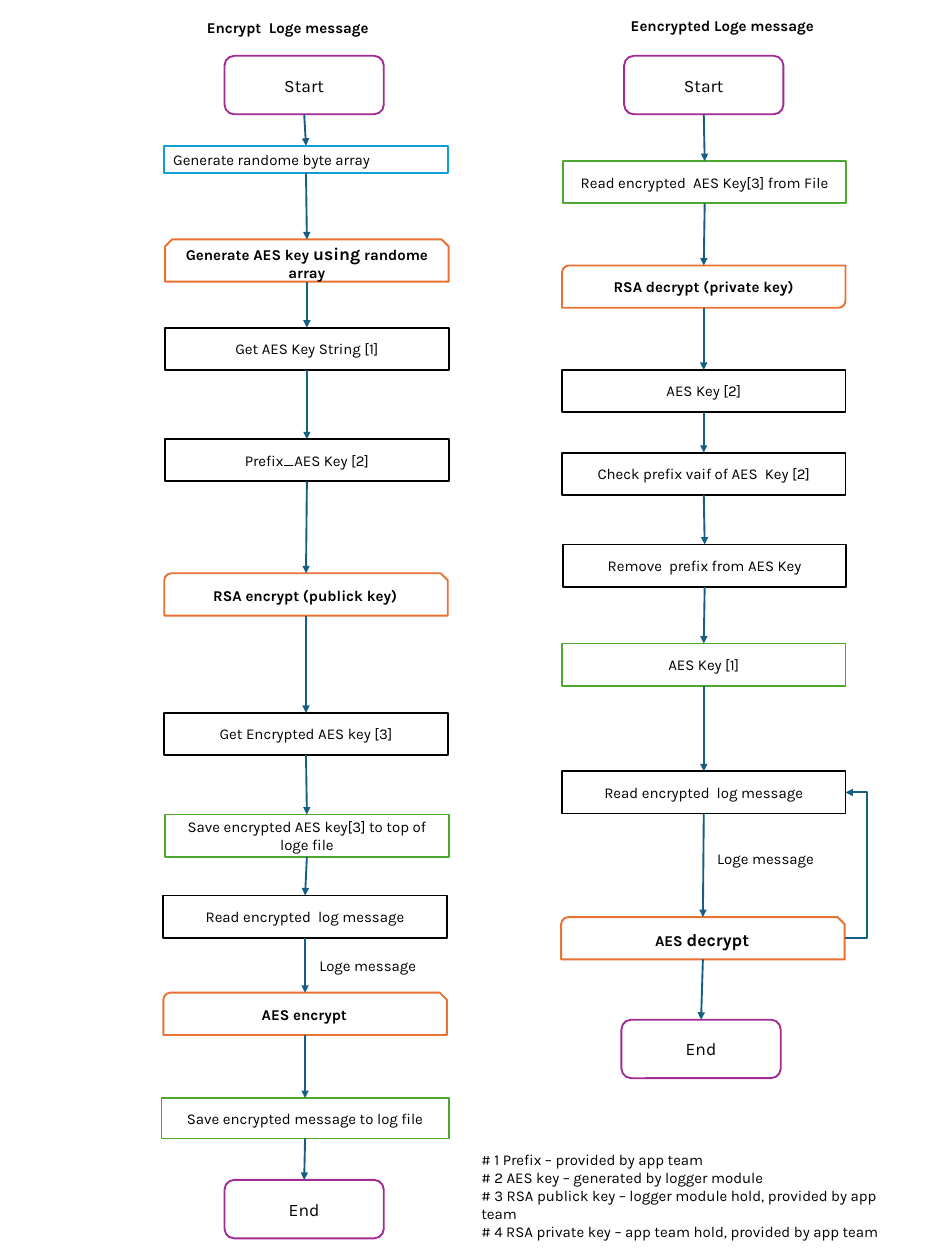
"""Build the flow charts for encrypting and decrypting log messages."""
from dataclasses import dataclass
from itertools import pairwise

from lxml.etree import SubElement as Sub
from pptx import Presentation
from pptx.dml.color import RGBColor as Rgb
from pptx.enum.shapes import MSO_CONNECTOR as Link, MSO_SHAPE as Form
from pptx.enum.text import MSO_ANCHOR as Anchor, MSO_AUTO_SIZE as Auto, PP_ALIGN as Align
from pptx.oxml.ns import qn
from pptx.util import Inches, Pt


@dataclass(frozen=True)
class Theme:
    """Colours, type and line sizes."""
    font: str = "Karla"
    ink: str = "000000"
    paper: str = "FFFFFF"
    arrow: str = "156082"
    body: int = 12
    large: int = 14
    line: float = 1.5


@dataclass(frozen=True)
class Kind:
    """Look of one kind of step, its size in grid cells."""
    line: str
    form: Form = Form.RECTANGLE
    wide: float = 31.5
    high: float = 4.7
    size: int = Theme.body
    bold: bool = False
    left: bool = False


THEME = Theme()
COLS, ROWS = 105, 140
CELL = Inches(10.5) / COLS
ORANGE, GREEN = "E97132", "4EA72E"
JOINED = Form.RECTANGLE, Form.ROUNDED_RECTANGLE

EDGE = Kind("A02B93", Form.ROUNDED_RECTANGLE, 17.7, 6.5, THEME.large)
SEED = Kind("0F9ED5", high=3, left=True)
WORK = Kind(THEME.ink)
FILE = Kind(GREEN)
SAVE = Kind(GREEN, wide=31.9, high=4.5)
MAKE = Kind(ORANGE, Form.SNIP_2_SAME_RECTANGLE, bold=True)
LOCK = Kind(ORANGE, Form.SNIP_ROUND_RECTANGLE, bold=True)
OPEN = Kind(ORANGE, Form.ROUND_2_DIAG_RECTANGLE, bold=True)

ENCRYPT = [
    (EDGE, 33.8, 6.2, "Start"),
    (SEED, 34, 16.2, "Generate randome byte array"),
    (MAKE, 34.1, 26.6, [("Generate AES key ", THEME.body), ("using", THEME.large),
                        (" randome array", THEME.body)]),
    (WORK, 34.1, 36.4, "Get AES Key String [1]"),
    (WORK, 34.1, 48.8, "Prefix_AES Key [2]"),
    (LOCK, 34, 63.7, "RSA encrypt (publick key)"),
    (WORK, 34, 79.2, "Get Encrypted AES key [3]"),
    (FILE, 34.1, 90.5, "Save encrypted AES key[3] to top of loge file"),
    (WORK, 33.9, 99.5, "Read encrypted  log message"),
    (LOCK, 33.9, 110.3, "AES encrypt"),
    (SAVE, 33.9, 122, "Save encrypted message to log file"),
    (EDGE, 33.8, 131.1, "End"),
]
DECRYPT = [
    (EDGE, 78.2, 6.2, "Start"),
    (FILE, 78.3, 17.9, "Read encrypted  AES Key[3] from File"),
    (OPEN, 78.2, 29.5, "RSA decrypt (private key)"),
    (WORK, 78.2, 41.1, "AES Key [2]"),
    (WORK, 78.2, 50.3, "Check prefix vaif of AES  Key [2]"),
    (WORK, 78.3, 60.5, "Remove  prefix from AES Key"),
    (FILE, 78.2, 71.5, "AES Key [1]"),
    (WORK, 78.2, 85.7, "Read encrypted  log message"),
    (LOCK, 78.1, 101.9, [("AES ", THEME.body), ("decrypt", THEME.large)]),
    (EDGE, 77.9, 113.3, "End"),
]
NOTES = [
    "# 1 Prefix – provided by app team",
    "# 2 AES key – generated by logger module",
    "# 3 RSA publick key – logger module hold, provided by app team",
    "# 4 RSA private key – app team hold, provided by app team",
]
LABELS = [
    (22, 1.6, 23.6, 3, ["Encrypt  Loge message"], True),
    (69.1, 1.4, 31.5, 3, ["Eencrypted Loge message"], True),
    (34.5, 105.8, 13.7, 3, ["Loge message"], False),
    (78.7, 93.9, 15.7, 3, ["Loge message"], False),
    (52.5, 127.3, 47.9, 9.1, NOTES, False),
]


def grid(*cells):
    """Turn grid cells into lengths."""
    return [round(cell * CELL) for cell in cells]


def style(para, size, bold):
    """Set the font of a paragraph."""
    font = para.font
    font.name, font.bold = THEME.font, bold
    font.color.rgb = Rgb.from_string(THEME.ink)
    if size:
        font.size = Pt(size)


def step(slide, kind, mid, top, text):
    """Draw one step centred on a column and return it."""
    box = slide.shapes.add_shape(
        kind.form, *grid(mid - kind.wide / 2, top, kind.wide, kind.high))
    box.shadow.inherit = False
    box.fill.solid()
    box.fill.fore_color.rgb = Rgb.from_string(THEME.paper)
    box.line.color.rgb = Rgb.from_string(kind.line)
    box.line.width = Pt(THEME.line)
    frame = box.text_frame
    frame.word_wrap = True
    frame.vertical_anchor = Anchor.TOP if kind.left else Anchor.MIDDLE
    para = frame.paragraphs[0]
    para.alignment = Align.LEFT if kind.left else Align.CENTER
    if isinstance(text, str):
        para.text = text
        style(para, kind.size, kind.bold)
    else:
        style(para, None, kind.bold)
        for part, size in text:
            run = para.add_run()
            run.text, run.font.size = part, Pt(size)
    return box


def label(slide, left, top, wide, high, lines, bold):
    """Write free lines of text."""
    frame = slide.shapes.add_textbox(*grid(left, top, wide, high)).text_frame
    frame.word_wrap = True
    frame.auto_size = Auto.SHAPE_TO_FIT_TEXT
    frame.text = "\n".join(lines)
    for para in frame.paragraphs:
        style(para, THEME.body, bold)


def arrow(slide, form, start, end):
    """Draw an arrow between two points and return it."""
    link = slide.shapes.add_connector(form, *start, *end)
    link.line.color.rgb = Rgb.from_string(THEME.arrow)
    link.line.width = Pt(THEME.line)
    Sub(link.line._get_or_add_ln(), qn("a:tailEnd"), type="triangle")
    Sub(link._element.spPr, qn("a:effectLst"))
    return link


def drop(slide, above, below):
    """Lead from the foot of one step to the head of the next."""
    start = above.left + above.width // 2, above.top + above.height
    end = below.left + below.width // 2, below.top
    link = arrow(slide, Link.STRAIGHT, start, end)
    if above.auto_shape_type in JOINED:
        link.begin_connect(above, 2)
    if below.auto_shape_type in JOINED:
        link.end_connect(below, 0)


def loop(slide, low, high, reach):
    """Lead back up the right side from a low step to a high one."""
    start, end = [(box.left + box.width, box.top + box.height // 2) for box in (low, high)]
    link = arrow(slide, Link.ELBOW, start, end)
    link.end_connect(high, 3)
    bend = round(reach * CELL / (end[0] - start[0]) * 100000)
    shape = link._element.spPr.find(qn("a:prstGeom"))
    Sub(shape.get_or_add_avLst(), qn("a:gd"), name="adj1", fmla=f"val {bend}")


def flow(slide, steps):
    """Draw a column of steps joined by arrows."""
    boxes = [step(slide, *item) for item in steps]
    for above, below in pairwise(boxes):
        drop(slide, above, below)
    return boxes


def main():
    """Build and save the slide."""
    deck = Presentation()
    deck.slide_width, deck.slide_height = grid(COLS, ROWS)
    slide = deck.slides.add_slide(deck.slide_layouts[6])
    flow(slide, ENCRYPT)
    *_, read, lock, _ = flow(slide, DECRYPT)
    loop(slide, lock, read, 2.5)
    for item in LABELS:
        label(slide, *item)
    deck.save("out.pptx")


if __name__ == "__main__":
    main()
